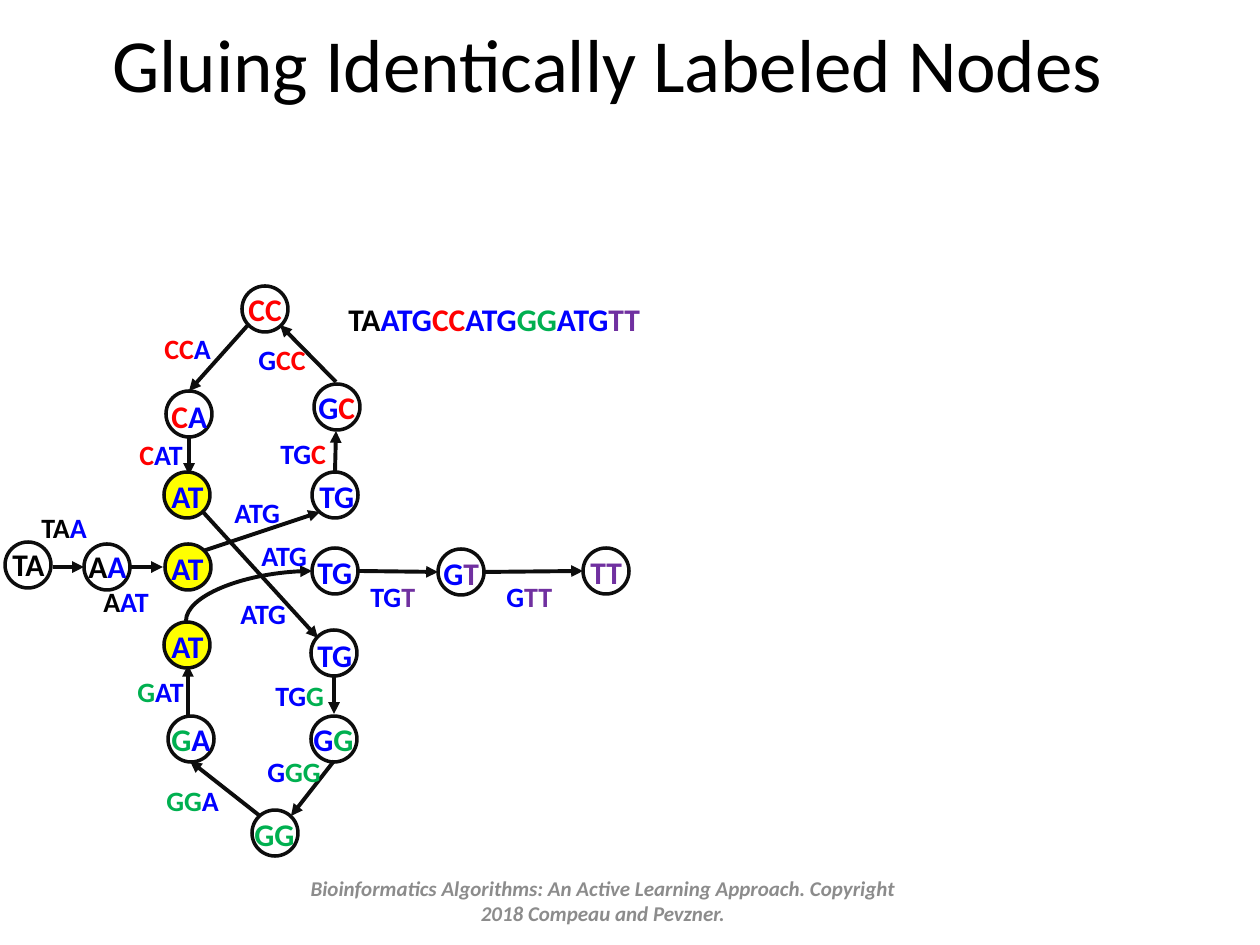
from itertools import groupby

from lxml import etree
from pptx import Presentation
from pptx.dml.color import RGBColor
from pptx.enum.shapes import MSO_CONNECTOR, MSO_SHAPE
from pptx.enum.text import MSO_ANCHOR, MSO_AUTO_SIZE, PP_ALIGN
from pptx.oxml.ns import qn
from pptx.util import Emu, Pt

STRAIGHT, CURVE = MSO_CONNECTOR.STRAIGHT, MSO_CONNECTOR.CURVE
ELLIPSE = MSO_SHAPE.OVAL
MIDDLE, CENTER = MSO_ANCHOR.MIDDLE, PP_ALIGN.CENTER
GROW, FIXED = MSO_AUTO_SIZE.SHAPE_TO_FIT_TEXT, MSO_AUTO_SIZE.NONE

PX = 914400 / 126
NODE = 46  # node diameter

# One-letter keys colour the labels letter by letter
COLORS = {"K": "000000", "B": "0000FF", "R": "FF0000", "G": "00B050",
          "P": "7030A0", "line": "0D0D0D", "mark": "FFFF00", "footer": "8C8C8C"}

TITLE = {"name": "Calibri", "size": Pt(42.9), "bold": False}
FOOTER = {"name": "Calibri", "size": Pt(12), "bold": True, "italic": True}
NODE_TEXT = {"name": "Calibri", "size": Pt(18), "bold": True}
EDGE_TEXT = {"name": "Calibri", "size": Pt(16), "bold": True}

# Node x, y; label x, y, width; label, letter colours, fill
NODES = [
    (5, 542, 0, 539, 60, "TA", "KK", None),
    (84, 544, 76, 541, 64, "AA", "KB", None),
    (165, 544, 159, 543, 60, "AT", "BB", "mark"),
    (312, 472, 307, 471, 62, "TG", "BB", None),
    (314, 384, 306, 382, 63, "GC", "BR", None),
    (242, 286, 236, 284, 59, "CC", "RR", None),
    (166, 391, 159, 391, 62, "CA", "RB", None),
    (164, 472, 159, 471, 60, "AT", "BB", "mark"),
    (311, 630, 305, 630, 62, "TG", "BB", None),
    (311, 716, 301, 714, 66, "GG", "BG", None),
    (252, 810, 242, 809, 66, "GG", "GG", None),
    (168, 716, 159, 714, 66, "GA", "GB", None),
    (164, 622, 159, 621, 60, "AT", "BB", "mark"),
    (312, 548, 305, 547, 62, "TG", "BB", None),
    (438, 549, 431, 548, 62, "GT", "BP", None),
    (583, 548, 578, 547, 57, "TT", "PP", None),
]

# Start x, y; end x, y
EDGES = [
    (53, 567, 84, 567), (131, 567, 163, 567), (203, 551, 320, 512),
    (335, 472, 336, 431), (336, 382, 280, 325), (248, 325, 189, 391),
    (189, 436, 189, 475), (203, 512, 318, 638), (334, 677, 334, 714),
    (334, 761, 291, 816), (260, 816, 190, 761), (188, 716, 188, 665),
    (358, 571, 438, 572), (484, 572, 583, 571),
]

# Label x, y, width; label, letter colours
EDGE_LABELS = [
    (29, 504, 74, "TAA", "KKB"), (91, 578, 74, "AAT", "KBB"),
    (222, 489, 74, "ATG", "BBB"), (268, 430, 73, "TGC", "BBR"),
    (246, 336, 73, "GCC", "BRR"), (152, 325, 73, "CCA", "RRB"),
    (127, 431, 72, "CAT", "RBB"), (228, 590, 74, "ATG", "BBB"),
    (263, 672, 76, "TGG", "BBG"), (255, 748, 79, "GGG", "BGG"),
    (154, 777, 79, "GGA", "GGB"), (125, 668, 74, "GAT", "GBB"),
    (249, 532, 74, "ATG", "BBB"), (358, 573, 72, "TGT", "BBP"),
    (494, 573, 72, "GTT", "BPP"),
]


def px(*values):
    return [Emu(round(v * PX)) for v in values]


def rgb(key):
    return RGBColor.from_string(COLORS[key])


def add_run(p, text, fmt, color):
    r = p.add_run()
    r.text = text
    for name, value in fmt.items():
        setattr(r.font, name, value)
    r.font.color.rgb = rgb(color)


def add_label(s, x, y, w, h, text, codes, fmt):
    """Unwrapped text with one run for each stretch of equal colour."""
    tf = s.shapes.add_textbox(*px(x, y, w, h)).text_frame
    tf.word_wrap = False
    tf.auto_size = GROW
    for color, pairs in groupby(zip(codes, text), key=lambda pair: pair[0]):
        add_run(tf.paragraphs[0], "".join(c for _, c in pairs), fmt, color)


def add_node(s, x, y, label_x, label_y, label_w, text, codes, fill):
    sp = s.shapes.add_shape(ELLIPSE, *px(x, y, NODE, NODE))
    sp.shadow.inherit = False
    if fill:
        sp.fill.solid()
        sp.fill.fore_color.rgb = rgb(fill)
    else:
        sp.fill.background()
    sp.line.color.rgb = rgb("line")
    sp.line.width = Pt(2)
    add_label(s, label_x, label_y, label_w, 50, text, codes, NODE_TEXT)


def add_arrow(s, x1, y1, x2, y2, kind=STRAIGHT):
    c = s.shapes.add_connector(kind, *px(x1, y1, x2, y2))
    c.line.color.rgb = rgb("line")
    c.line.width = Pt(2.25)
    etree.SubElement(c.line._get_or_add_ln(), qn("a:tailEnd"), type="triangle")
    etree.SubElement(c._element.spPr, qn("a:effectLst"))
    return c


def add_quarter_arrow(s, x1, y1, x2, y2):
    """Curve that leaves upwards and arrives from the left."""
    cx, cy = (x1 + x2) / 2, (y1 + y2) / 2
    dx, dy = (x2 - x1) / 2, (y1 - y2) / 2
    # The unrotated ends; a quarter turn brings them to their places
    c = add_arrow(s, cx + dy, cy + dx, cx - dy, cy - dx, CURVE)
    spPr = c._element.spPr
    spPr.find(qn("a:xfrm")).set("rot", str(90 * 60000))
    spPr.find(qn("a:prstGeom")).set("prst", "curvedConnector2")


def add_centered(sp, box, text, fmt, color):
    sp.left, sp.top, sp.width, sp.height = px(*box)
    tf = sp.text_frame
    tf.word_wrap = True
    tf.auto_size = FIXED
    tf.vertical_anchor = MIDDLE
    p = tf.paragraphs[0]
    p.alignment = CENTER
    add_run(p, text, fmt, color)
    return tf


def main():
    prs = Presentation()
    prs.slide_width, prs.slide_height = px(1260, 945)
    s = prs.slides.add_slide(prs.slide_layouts[5])

    # Title, set a little left of the middle
    tf = add_centered(s.shapes.title, (66, 10, 1134, 105),
                      "Gluing Identically Labeled Nodes", TITLE, "K")
    tf.margin_right = px(64)[0]

    # Graph
    for edge in EDGES:
        add_arrow(s, *edge)
    add_quarter_arrow(s, 186, 621, 312, 571)
    for node in NODES:
        add_node(s, *node)
    for x, y, w, text, codes in EDGE_LABELS:
        add_label(s, x, y, w, 47, text, codes, EDGE_TEXT)

    # Genome
    add_label(s, 336, 294, 331, 50, "TAATGCCATGGGATGTT",
              "KKBBBRRBBBGGBBBPP", NODE_TEXT)

    # Footer
    box = (283, 876, 640, 50)
    add_centered(s.shapes.add_textbox(*px(*box)), box,
                 "Bioinformatics Algorithms: An Active Learning Approach. "
                 "Copyright 2018 Compeau and Pevzner.", FOOTER, "footer")

    prs.save("out.pptx")


if __name__ == "__main__":
    main()
